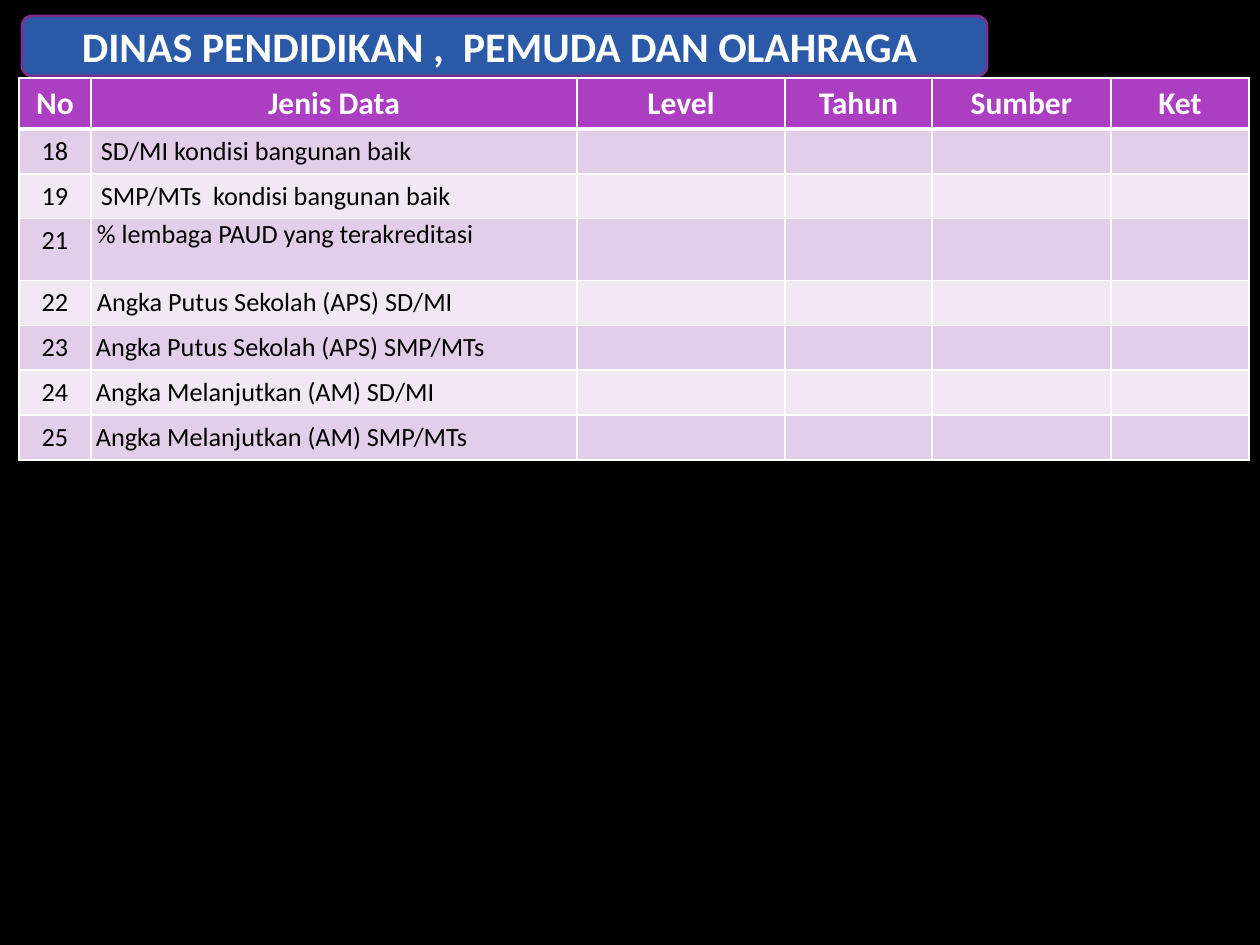
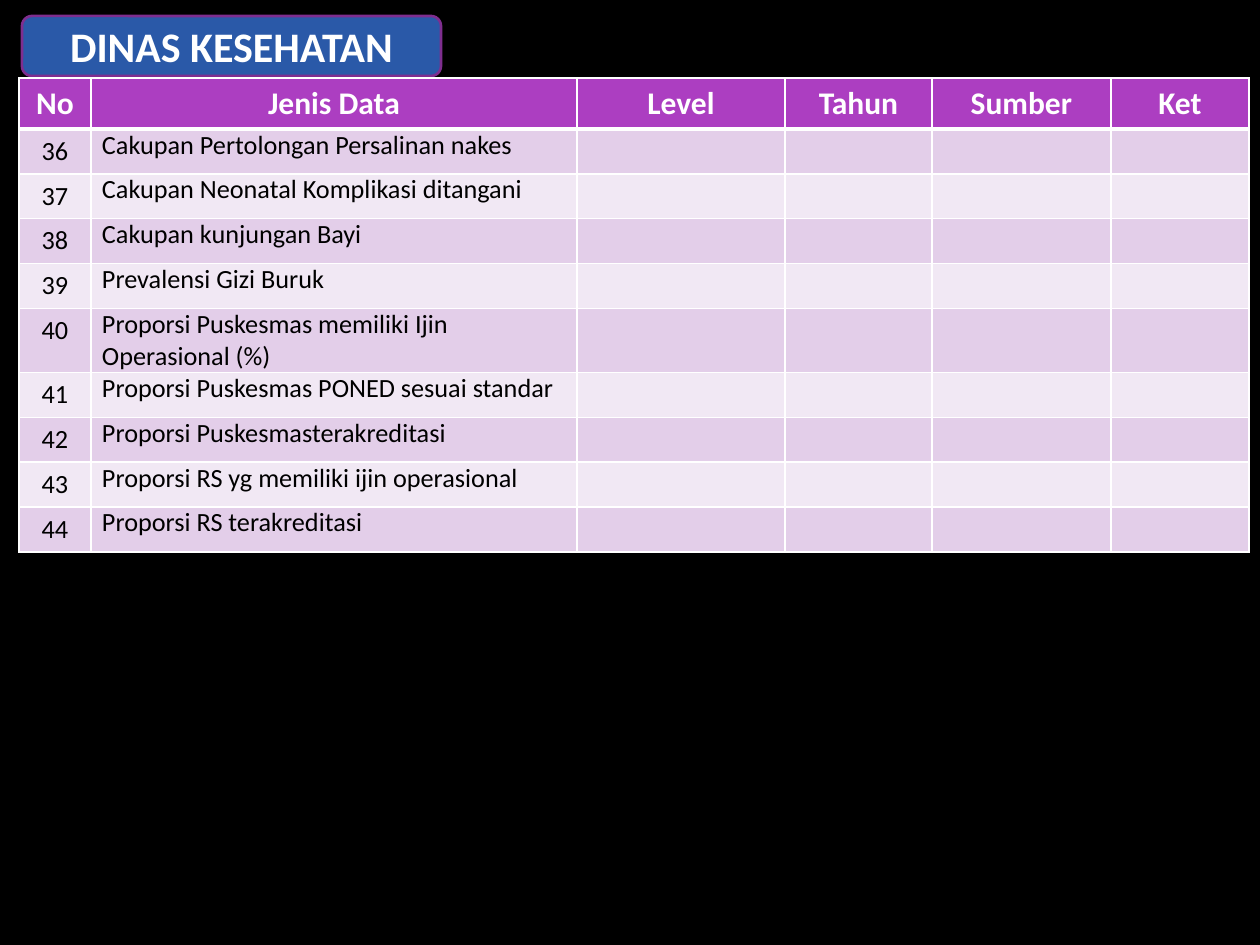
from pptx import Presentation
from pptx.dml.color import RGBColor
from pptx.enum.shapes import MSO_SHAPE as SHAPE
from pptx.enum.text import MSO_ANCHOR as ANCHOR, PP_ALIGN as ALIGN
from pptx.oxml.ns import qn
from pptx.util import Emu, Pt
from lxml.etree import SubElement

BLACK = RGBColor(0x00, 0x00, 0x00)
WHITE = RGBColor(0xFF, 0xFF, 0xFF)
BLUE = RGBColor(0x2A, 0x59, 0xA8)
PLUM = RGBColor(0x7F, 0x2E, 0x8F)
PURPLE = RGBColor(0xAC, 0x3E, 0xC1)
LILAC = RGBColor(0xE3, 0xCE, 0xE9)
PALE = RGBColor(0xF1, 0xE8, 0xF4)

FONT = "Calibri"
EMU_PER_PX = 914400 / 126
HEADINGS = ["No", "Jenis Data", "Level", "Tahun", "Sumber", "Ket"]
COL_WIDTHS = [72, 486, 208, 147, 179, 138]
HEADER_H, ROW_H, TALL_H = 45, 42, 62

EDUCATION = [
    (18, "SD/MI kondisi bangunan baik", 5, True, ROW_H),
    (19, "SMP/MTs  kondisi bangunan baik", 5, True, ROW_H),
    (21, "% lembaga PAUD yang terakreditasi", 6, False, TALL_H),
    (22, "Angka Putus Sekolah (APS) SD/MI", 1, True, ROW_H),
    (23, "Angka Putus Sekolah (APS) SMP/MTs", 0, True, ROW_H),
    (24, "Angka Melanjutkan (AM) SD/MI", 0, True, ROW_H),
    (25, "Angka Melanjutkan (AM) SMP/MTs", 0, True, ROW_H),
]
HEALTH_LABELS = [
    "Cakupan Pertolongan Persalinan nakes",
    "Cakupan Neonatal Komplikasi ditangani",
    "Cakupan kunjungan Bayi",
    "Prevalensi Gizi Buruk",
    "Proporsi Puskesmas memiliki Ijin Operasional (%)",
    "Proporsi Puskesmas PONED sesuai standar",
    "Proporsi Puskesmasterakreditasi",
    "Proporsi RS yg memiliki ijin operasional",
    "Proporsi RS terakreditasi",
]
HEALTH = [(no, label, 11, False, ROW_H) for no, label in enumerate(HEALTH_LABELS, 36)]


def px(n):
    """Turn pixels into EMU."""
    return Emu(round(n * EMU_PER_PX))


def write(tf, text, size, color, bold=False, align=ALIGN.CENTER):
    """Put one formatted paragraph in a text frame and return it."""
    tf.text = text
    p = tf.paragraphs[0]
    p.alignment = align
    for r in p.runs:
        r.font.name, r.font.size, r.font.bold = FONT, Pt(size), bold
        r.font.color.rgb = color
    return p


def add_title(slide, text, x, y, w, h):
    """Draw the rounded title band."""
    s = slide.shapes.add_shape(SHAPE.ROUNDED_RECTANGLE, px(x), px(y), px(w), px(h))
    s.shadow.inherit = False
    s.fill.solid()
    s.fill.fore_color.rgb = BLUE
    s.line.color.rgb = PLUM
    s.line.width = Pt(1.5)
    s.text_frame.vertical_anchor = ANCHOR.MIDDLE
    write(s.text_frame, text, 24, WHITE, bold=True)


def style_cell(cell, fill, row):
    """Give a cell its white borders and its fill."""
    tc_pr = cell._tc.get_or_add_tcPr()
    for side in "LRTB":
        thick = (side, row) in (("B", 0), ("T", 1))
        ln = SubElement(tc_pr, qn(f"a:ln{side}"), w=str(Pt(3 if thick else 1)))
        SubElement(SubElement(ln, qn("a:solidFill")), qn("a:srgbClr"), val=str(WHITE))
    cell.fill.solid()
    cell.fill.fore_color.rgb = fill


def write_label(cell, label, indent, middle):
    """Write the name of an indicator, centred upright or at the top of its cell."""
    cell.margin_left = cell.margin_right = px(5 if middle else 0)
    cell.margin_top = cell.margin_bottom = 0
    p = write(cell.text_frame, label, 15, BLACK, align=ALIGN.LEFT)
    p_pr = p._p.get_or_add_pPr()
    p_pr.set("marL", str(px(indent)))
    p_pr.set("indent", "0")
    if middle:
        cell.vertical_anchor = ANCHOR.MIDDLE
        p.space_before = p.space_after = Pt(4.8)


def add_data_table(slide, rows, x, y):
    """Draw the indicator table with its header and banded rows."""
    heights = [HEADER_H] + [row[-1] for row in rows]
    frame = slide.shapes.add_table(len(heights), len(COL_WIDTHS), px(x), px(y),
                                   px(sum(COL_WIDTHS)), px(sum(heights)))
    table = frame.table
    table.first_row = table.horz_banding = False
    for col, width in zip(table.columns, COL_WIDTHS):
        col.width = px(width)
    for i, height in enumerate(heights):
        table.rows[i].height = px(height)
        fill = PURPLE if i == 0 else LILAC if i % 2 else PALE
        for cell in table.rows[i].cells:
            style_cell(cell, fill, i)
    for cell, heading in zip(table.rows[0].cells, HEADINGS):
        write(cell.text_frame, heading, 18, WHITE, bold=True)
    for i, (no, label, indent, middle, _) in enumerate(rows, 1):
        number, name, *blanks = table.rows[i].cells
        write(number.text_frame, str(no), 15, BLACK)
        write_label(name, label, indent, middle)
        for cell in blanks:
            end = SubElement(cell.text_frame.paragraphs[0]._p, qn("a:endParaRPr"))
            end.set("sz", "1500")


def add_agency_slide(prs, title, title_w, rows):
    """Add a black slide with the title and the table of one agency."""
    slide = prs.slides.add_slide(prs.slide_layouts[6])
    slide.background.fill.solid()
    slide.background.fill.fore_color.rgb = BLACK
    add_title(slide, title, 22, 16, title_w, 60)
    add_data_table(slide, rows, 19, 78)


def main():
    """Build and save the deck."""
    prs = Presentation()
    prs.slide_width, prs.slide_height = px(1260), px(945)
    add_agency_slide(prs, "DINAS PENDIDIKAN ,  PEMUDA DAN OLAHRAGA ", 965, EDUCATION)
    add_agency_slide(prs, "DINAS KESEHATAN", 419, HEALTH)
    prs.save("out.pptx")


if __name__ == "__main__":
    main()
